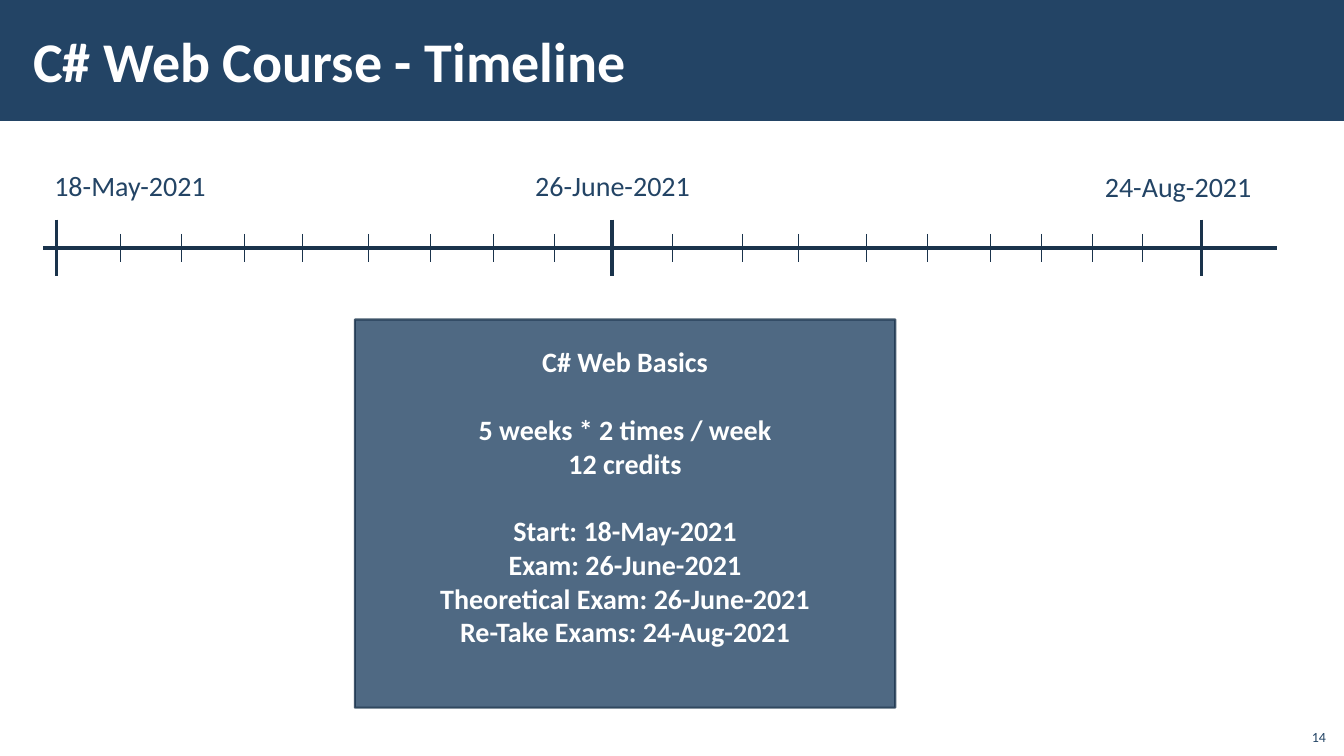
from pptx import Presentation
from pptx.dml.color import RGBColor
from pptx.enum.shapes import MSO_CONNECTOR, MSO_SHAPE
from pptx.enum.text import MSO_ANCHOR, PP_ALIGN
from pptx.oxml.ns import qn
from pptx.util import Inches, Pt
from lxml import etree

RECTANGLE = MSO_SHAPE.RECTANGLE
STRAIGHT = MSO_CONNECTOR.STRAIGHT
TOP, MIDDLE, BOTTOM = MSO_ANCHOR.TOP, MSO_ANCHOR.MIDDLE, MSO_ANCHOR.BOTTOM
LEFT, CENTER, RIGHT = PP_ALIGN.LEFT, PP_ALIGN.CENTER, PP_ALIGN.RIGHT

COLORS = {"navy": "234465", "ink": "1A334C", "white": "FFFFFF"}
FONT = "Calibri"
LINE_GAP = 24.4
AXIS_Y = 2.46
DATES = [("18-May-2021", 0.44, 1.62, 1.72),
         ("26-June-2021", 5.21, 1.62, 1.75),
         ("24-Aug-2021", 10.86, 1.63, 1.67)]
MILESTONES = [0.56, 6.07, 11.92]
WEEKS = [1.19, 1.8, 2.42, 3, 3.65, 4.27, 4.89, 5.5, 6.67, 7.36,
         7.92, 8.59, 9.2, 9.82, 10.33, 10.83, 11.33]
COURSE = [["C# Web Basics"],
          ["5 weeks * 2 times / week", "12 credits"],
          ["Start: 18-May-2021", "Exam: 26-June-2021",
           "Theoretical Exam: 26-June-2021", "Re-Take Exams: 24-Aug-2021"]]


def color(name):
    return RGBColor.from_string(COLORS[name])


def write(paragraph, text, size, ink, bold=False, align=LEFT):
    paragraph.alignment = align
    run = paragraph.add_run()
    run.text = text
    for name, value in {"name": FONT, "size": Pt(size), "bold": bold}.items():
        setattr(run.font, name, value)
    run.font.color.rgb = color(ink)


def add_label(slide, text, box, size, ink, bold=False, align=LEFT,
              anchor=TOP, wrap=True, inset=0.1):
    label = slide.shapes.add_textbox(*map(Inches, box))
    frame_format = {"word_wrap": wrap, "vertical_anchor": anchor,
                    "margin_left": Inches(inset), "margin_right": Inches(inset)}
    for name, value in frame_format.items():
        setattr(label.text_frame, name, value)
    write(label.text_frame.paragraphs[0], text, size, ink, bold, align)


def add_panel(slide, box):
    panel = slide.shapes.add_shape(RECTANGLE, *map(Inches, box))
    panel.shadow.inherit = False
    panel.fill.solid()
    panel.fill.fore_color.rgb = color("navy")
    panel.line.fill.background()
    return panel


def add_line(slide, start, end, width):
    line = slide.shapes.add_connector(STRAIGHT, *map(Inches, start + end))
    line.line.color.rgb = color("ink")
    line.line.width = Pt(width)
    etree.SubElement(line._element.spPr, qn("a:effectLst"))


def add_tick(slide, x, half_height, width):
    add_line(slide, (x, AXIS_Y - half_height), (x, AXIS_Y + half_height), width)


def add_course_card(slide, box):
    card = add_panel(slide, box)
    card.line.color.rgb = color("ink")
    card.line.width = Pt(1.5)
    for tint in card._element.spPr.iter(qn("a:srgbClr")):
        etree.SubElement(tint, qn("a:alpha"), val="80000")
    frame = card.text_frame
    frame.word_wrap = True
    frame.vertical_anchor = MIDDLE
    frame.margin_bottom = Inches(0.05) + Pt(LINE_GAP)
    paragraph = frame.paragraphs[0]
    for group_index, group in enumerate(COURSE):
        for line_index, text in enumerate(group):
            if group_index or line_index:
                paragraph = frame.add_paragraph()
            if group_index and not line_index:
                paragraph.space_before = Pt(LINE_GAP)
            write(paragraph, text, 20, "white", True, CENTER)


def main():
    deck = Presentation()
    deck.slide_width, deck.slide_height = Inches(13.33), Inches(7.5)
    slide = deck.slides.add_slide(deck.slide_layouts[6])

    add_panel(slide, (0, 0, 13.33, 1.2))
    add_label(slide, "C# Web Course - Timeline", (0.21, 0.11, 10.63, 0.97),
              40, "white", bold=True, anchor=MIDDLE, inset=0.12)
    add_course_card(slide, (3.52, 3.17, 5.36, 3.85))

    add_line(slide, (0.43, AXIS_Y), (12.67, AXIS_Y), 2.25)
    for x in MILESTONES:
        add_tick(slide, x, 0.28, 2.25)
    for x in WEEKS:
        add_tick(slide, x, 0.14, 0.5)
    for date, left, top, width in DATES:
        add_label(slide, date, (left, top, width, 0.44), 20, "navy", wrap=False)

    add_label(slide, "14", (12.85, 7.12, 0.4, 0.32), 10, "navy",
              align=RIGHT, anchor=BOTTOM)
    deck.save("out.pptx")


if __name__ == "__main__":
    main()
